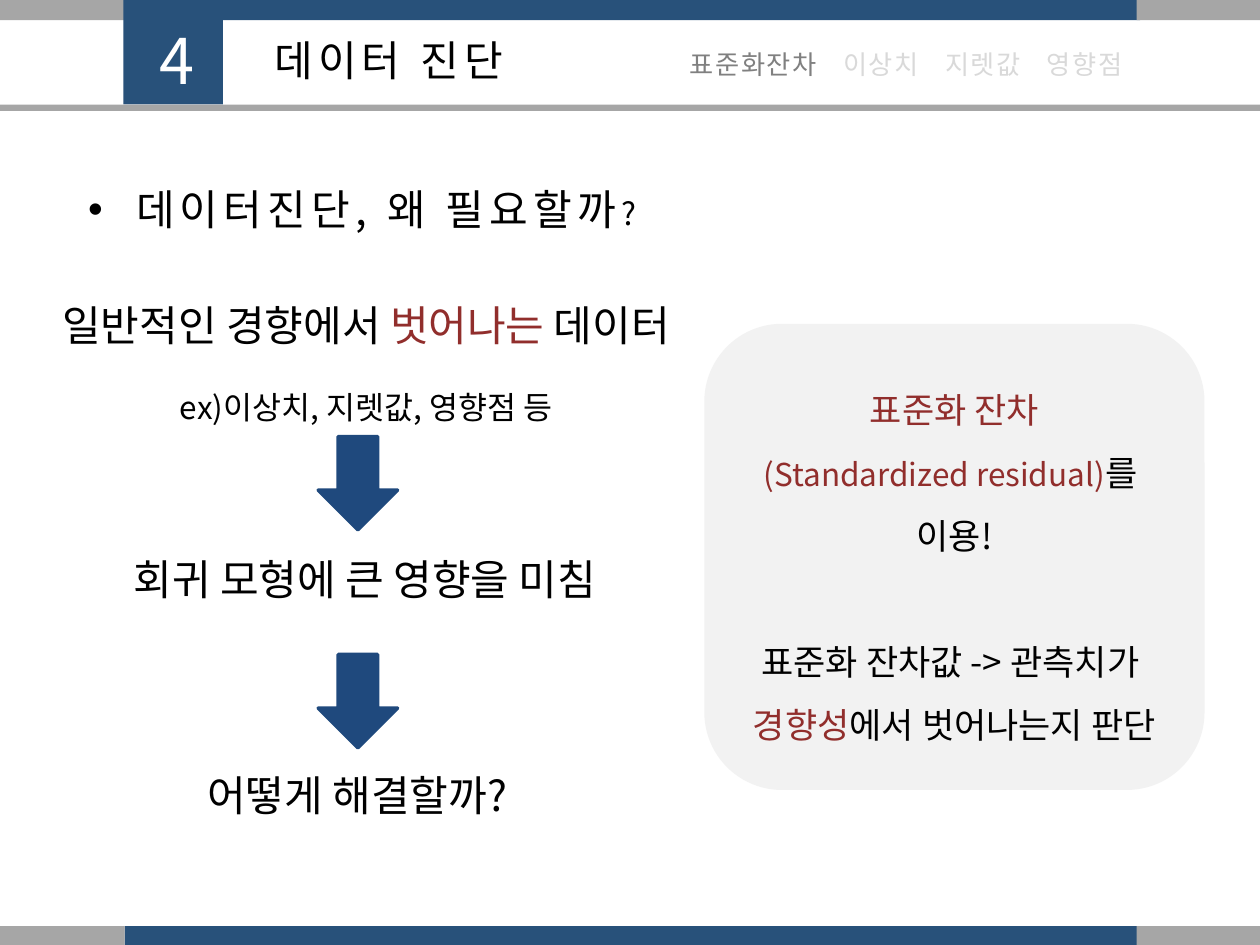
"""Build the data diagnostics slide on standardized residuals."""
from lxml.etree import SubElement
from pptx import Presentation
from pptx.dml.color import RGBColor
from pptx.enum.shapes import MSO_SHAPE as Shape
from pptx.enum.text import MSO_ANCHOR as Anchor, MSO_AUTO_SIZE as AutoSize, PP_ALIGN as Align
from pptx.oxml.ns import qn
from pptx.util import Inches, Pt

BLUE = RGBColor(0x28, 0x51, 0x7A)
ARROW_BLUE = RGBColor(0x1F, 0x49, 0x7D)
GRAY = RGBColor(0xA6, 0xA6, 0xA6)
ACTIVE = RGBColor(0x80, 0x80, 0x80)
INACTIVE = RGBColor(0xD9, 0xD9, 0xD9)
PANEL = RGBColor(0xF2, 0xF2, 0xF2)
RED = RGBColor(0x91, 0x2E, 0x2C)
BLACK = RGBColor(0, 0, 0)
WHITE = RGBColor(0xFF, 0xFF, 0xFF)


class SlideWriter:
    """Hold the text style and the current slide."""

    font = "Noto Sans CJK KR"

    def __init__(self, slide):
        self.slide = slide

    def run(self, paragraph, text, size, color=BLACK, spacing=0):
        run = paragraph.add_run()
        run.text = text
        run.font.size = Pt(size)
        run.font.name = self.font
        run.font.color.rgb = color
        properties = run.font._element
        SubElement(properties, qn("a:ea")).set("typeface", self.font)
        if spacing:
            properties.set("spc", str(round(spacing * 100)))

    def fill_text(self, frame, paragraphs, align=Align.CENTER, line_spacings=(1,), anchor=Anchor.TOP):
        frame.word_wrap = True
        frame.auto_size = AutoSize.NONE
        frame.vertical_anchor = anchor
        for index, runs in enumerate(paragraphs):
            paragraph = frame.add_paragraph() if index else frame.paragraphs[0]
            paragraph.alignment = align
            paragraph.line_spacing = line_spacings[index % len(line_spacings)]
            paragraph.space_before = Pt(0)
            for run in runs:
                self.run(paragraph, *run)

    def text(self, box, paragraphs, **layout):
        textbox = self.slide.shapes.add_textbox(*map(Inches, box))
        self.fill_text(textbox.text_frame, paragraphs, **layout)

    def placeholder(self, holder, box, paragraphs, **layout):
        holder.left, holder.top, holder.width, holder.height = map(Inches, box)
        self.fill_text(holder.text_frame, paragraphs, **layout)
        return holder.text_frame

    def shape(self, kind, box, color):
        shape = self.slide.shapes.add_shape(kind, *map(Inches, box))
        shape.shadow.inherit = False
        shape.fill.solid()
        shape.fill.fore_color.rgb = color
        shape.line.fill.background()
        return shape

    def band(self, top):
        for left, width, color in ((0.99, 8.06, BLUE), (0, 0.99, GRAY), (9.02, 0.98, GRAY)):
            self.shape(Shape.RECTANGLE, (left, top, width, 0.16), color)

    def down_arrow(self, top):
        arrow = self.shape(Shape.RIGHT_ARROW, (2.47, top, 0.74, 0.63), ARROW_BLUE)
        arrow.rotation = 90
        arrow.line.color.rgb = ARROW_BLUE
        arrow.line.width = Pt(2)

    def bullet(self, paragraph, indent):
        properties = paragraph._p.get_or_add_pPr()
        properties.set("marL", str(Inches(indent)))
        properties.set("indent", str(-Inches(indent)))
        SubElement(properties, qn("a:buChar")).set("char", "•")

    def panel(self, box, paragraphs):
        panel = self.shape(Shape.ROUNDED_RECTANGLE, box, PANEL)
        self.fill_text(panel.text_frame, paragraphs, line_spacings=(1.5,), anchor=Anchor.MIDDLE)
        return panel.text_frame


def main():
    deck = Presentation()
    deck.slide_width, deck.slide_height = Inches(10), Inches(7.5)
    slide = deck.slides.add_slide(deck.slide_layouts[1])
    writer = SlideWriter(slide)

    for band_top in (0, 7.35):
        writer.band(band_top)
    writer.shape(Shape.RECTANGLE, (0.98, 0, 0.79, 0.83), BLUE)
    writer.shape(Shape.RECTANGLE, (0, 0.83, 10, 0.05), GRAY)
    writer.text((0.97, 0.12, 0.87, 0.71), [[("4", 36, WHITE, 3)]])
    writer.placeholder(slide.shapes.title, (1, 0.22, 4.17, 0.5), [[("데이터 진단", 24, BLACK, 3)]])

    topics = [("표준화잔차", 15, ACTIVE, 1)]
    for topic in ("이상치", "지렛값", "영향점"):
        topics += [(" ", 15, INACTIVE, 10.5), (topic, 15, INACTIVE, 1)]
    writer.text((5.12, 0.33, 3.89, 0.35), [topics], align=Align.RIGHT)

    question = writer.placeholder(
        slide.placeholders[1], (0.6, 1.41, 5.2, 0.5),
        [[("데이터진단, 왜 필요할까", 24, BLACK, 3), ("?", 18, BLACK, 3)]], align=Align.LEFT)
    writer.bullet(question.paragraphs[0], 0.38)

    writer.text((0.28, 2.33, 5.25, 1.11), [
        [("일반적인 경향에서 ", 24), ("벗어나는", 24, RED), (" 데이터", 24)],
        [("ex)이상치, 지렛값, 영향점 등", 18)],
    ], line_spacings=(1, 2))
    writer.text((0.37, 4.34, 5.05, 0.5), [[("회귀 모형에 큰 영향을 미침", 24)]])
    writer.text((0.82, 6.06, 4.03, 0.5), [[("어떻게 해결할까?", 24)]])
    for arrow_top in (3.52, 5.25):
        writer.down_arrow(arrow_top)

    method = writer.panel((5.59, 2.57, 3.97, 3.7), [
        [("표준화 잔차", 20, RED)],
        [("(Standardized residual)", 18, RED), ("를 ", 20)],
        [("이용!", 20)],
        [("표준화 잔차값 -> 관측치가 ", 20)],
        [("경향성", 20, RED), ("에서 벗어나는지 판단", 20)],
    ])
    method.paragraphs[3].space_before = Pt(36)

    deck.save("out.pptx")


if __name__ == "__main__":
    main()
